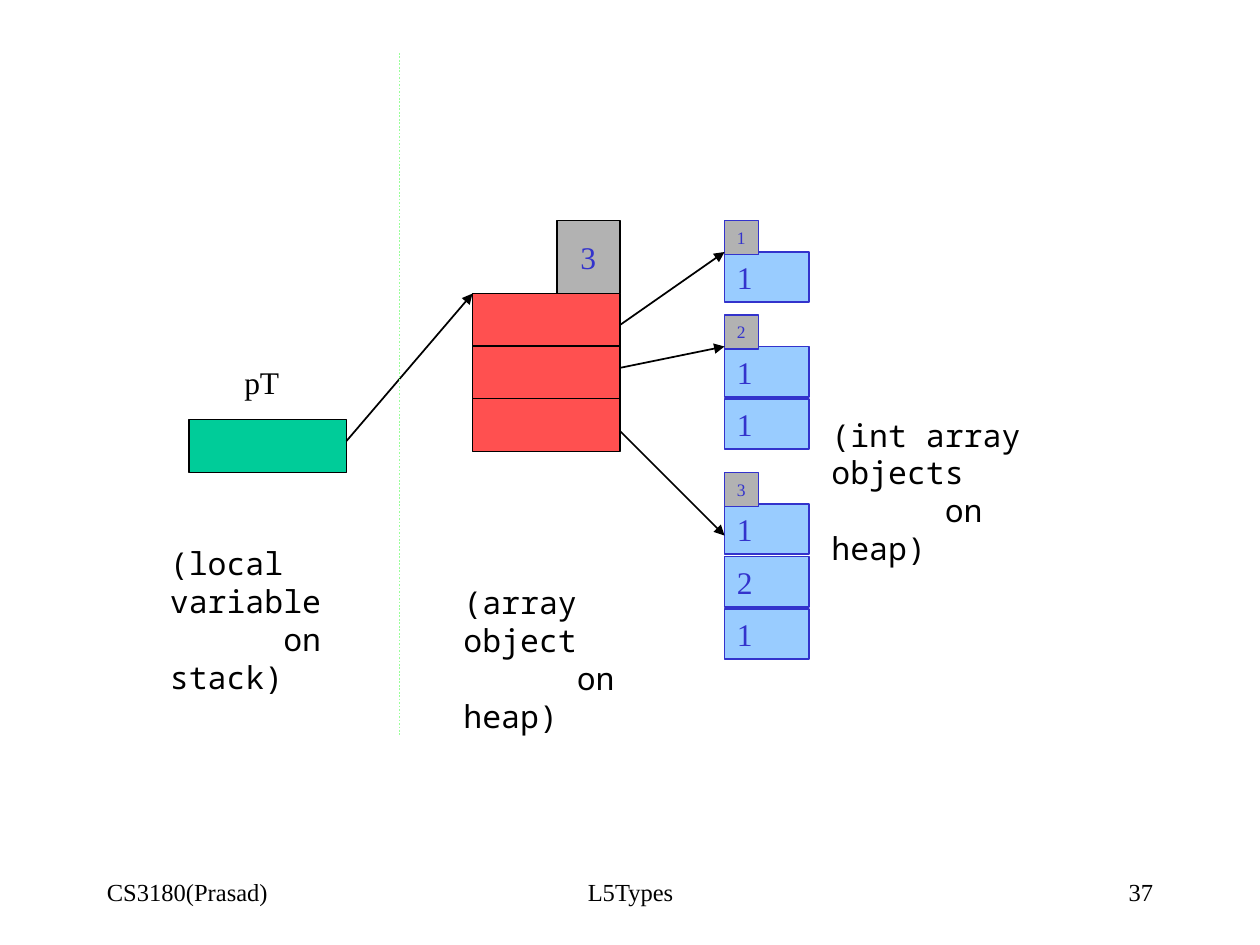
import pptx
import pptx.util
import pptx.dml.color
import pptx.enum.dml
import pptx.enum.shapes
import pptx.enum.text
import pptx.oxml.ns
from lxml import etree

Inches = pptx.util.Inches
RGBColor = pptx.dml.color.RGBColor
Align = pptx.enum.text.PP_ALIGN
Anchor = pptx.enum.text.MSO_ANCHOR
AutoSize = pptx.enum.text.MSO_AUTO_SIZE

BLACK = RGBColor(0x00, 0x00, 0x00)
GRAY = RGBColor(0xB2, 0xB2, 0xB2)
GREEN = RGBColor(0x00, 0xCC, 0x99)
RED = RGBColor(0xFF, 0x50, 0x50)
BLUE = RGBColor(0x33, 0x33, 0xCC)
LIGHT_BLUE = RGBColor(0x99, 0xCC, 0xFF)
LIGHT_GREEN = RGBColor(0x99, 0xFF, 0x99)

SERIF = "Times New Roman"
MONO = "Noto Sans Mono"

FOOTERS = [
    ("CS3180(Prasad)", 0.75, 2.08, Align.LEFT),
    ("L5Types", 3.42, 3.17, Align.CENTER),
    ("37", 7.17, 2.08, Align.RIGHT),
]
CAPTIONS = [
    (("(local variable", "on stack)"), 1.25, 4.27, 1.67),
    (("(array object", "on heap)"), 3.58, 4.58, 1.67),
    (("(int array objects", "on heap)"), 6.5, 3.25, 1.75),
]
INT_ARRAYS = [(1.75, ["1"]), (2.5, ["1", "1"]), (3.75, ["1", "2", "1"])]
ARROWS = [
    (2.75, 3.5, 3.75, 2.33),
    (4.92, 2.58, 5.75, 2),
    (4.92, 2.92, 5.75, 2.75),
    (4.92, 3.42, 5.75, 4.25),
]
DIVIDER = (3.17, 0.42, 3.17, 5.83)

ROW_PITCH = 1.25 / 3
HANGING_START = 0.9
ARRAY_LEFT, ARRAY_TOP, ARRAY_WIDTH = 3.75, 2.33, 1.17
INT_LEFT, TAG_SIZE, TAG_STEP = 5.75, 0.27, 0.25


def write(shape, lines, size=18, font=SERIF, color=BLACK, align=Align.LEFT,
          anchor=Anchor.TOP, wrap=True, auto_size=AutoSize.SHAPE_TO_FIT_TEXT):
    frame = shape.text_frame
    frame.text = "\n".join(lines)
    frame_format = {"word_wrap": wrap, "vertical_anchor": anchor, "auto_size": auto_size}
    for name, value in frame_format.items():
        setattr(frame, name, value)
    font_format = {"size": pptx.util.Pt(size), "name": font}
    for paragraph in frame.paragraphs:
        paragraph.alignment = align
        for run in paragraph.runs:
            for name, value in font_format.items():
                setattr(run.font, name, value)
            run.font.color.rgb = color


def add_text(slide, box, lines, **text_format):
    shape = slide.shapes.add_textbox(*map(Inches, box))
    write(shape, lines, **text_format)
    return shape


def add_box(slide, box, fill, outline):
    shape = slide.shapes.add_shape(
        pptx.enum.shapes.MSO_SHAPE.RECTANGLE, *map(Inches, box))
    shape.shadow.inherit = False
    shape.fill.solid()
    shape.fill.fore_color.rgb = fill
    shape.line.color.rgb = outline
    shape.line.width = pptx.util.Pt(1)
    return shape


def add_line(slide, ends, color):
    connector = slide.shapes.add_connector(
        pptx.enum.shapes.MSO_CONNECTOR.STRAIGHT, *map(Inches, ends))
    connector.line.color.rgb = color
    connector.line.width = pptx.util.Pt(1)
    properties = connector._element.spPr
    etree.SubElement(properties, pptx.oxml.ns.qn("a:effectLst"))
    return connector


def add_arrow(slide, ends):
    connector = add_line(slide, ends, BLACK)
    outline = connector.line._get_or_add_ln()
    etree.SubElement(outline, pptx.oxml.ns.qn("a:tailEnd"), type="triangle")


def add_int_array(slide, top, values):
    for row, value in enumerate(values):
        cell_top = top + TAG_STEP + row * ROW_PITCH
        cell = add_box(slide, (INT_LEFT, cell_top, 0.67, 0.4), LIGHT_BLUE, BLUE)
        write(cell, [value], color=BLUE)
    tag = add_box(slide, (INT_LEFT, top, TAG_SIZE, TAG_SIZE), GRAY, BLUE)
    write(tag, [str(len(values))], size=10, color=BLUE)


def main():
    presentation = pptx.Presentation()
    presentation.slide_width = Inches(10)
    presentation.slide_height = Inches(7.5)
    slide = presentation.slides.add_slide(presentation.slide_layouts[6])

    for text, left, width, align in FOOTERS:
        add_text(slide, (left, 6.83, width, 0.5), [text], size=14, align=align,
                 anchor=Anchor.MIDDLE, wrap=False, auto_size=AutoSize.NONE)

    length_tag = add_box(slide, (4.42, 1.75, 0.5, 0.58), GRAY, BLACK)
    write(length_tag, [str(len(INT_ARRAYS))], color=BLUE, align=Align.CENTER,
          anchor=Anchor.MIDDLE, wrap=False, auto_size=AutoSize.NONE)
    add_box(slide, (1.5, 3.33, 1.25, 0.42), GREEN, BLACK)
    add_text(slide, (1.84, 2.83, 0.48, 0.4), ["pT"], wrap=False)

    for row, (top, values) in enumerate(INT_ARRAYS):
        row_top = ARRAY_TOP + row * ROW_PITCH
        add_box(slide, (ARRAY_LEFT, row_top, ARRAY_WIDTH, 0.42), RED, BLACK)
        add_int_array(slide, top, values)

    for ends in ARROWS:
        add_arrow(slide, ends)

    for lines, left, top, width in CAPTIONS:
        caption = add_text(slide, (left, top, width, 1), lines, font=MONO)
        last_properties = caption.text_frame.paragraphs[-1]._p.get_or_add_pPr()
        last_properties.set("indent", str(Inches(HANGING_START)))

    divider = add_line(slide, DIVIDER, LIGHT_GREEN)
    divider.line.dash_style = pptx.enum.dml.MSO_LINE.ROUND_DOT
    presentation.save("out.pptx")


if __name__ == "__main__":
    main()
